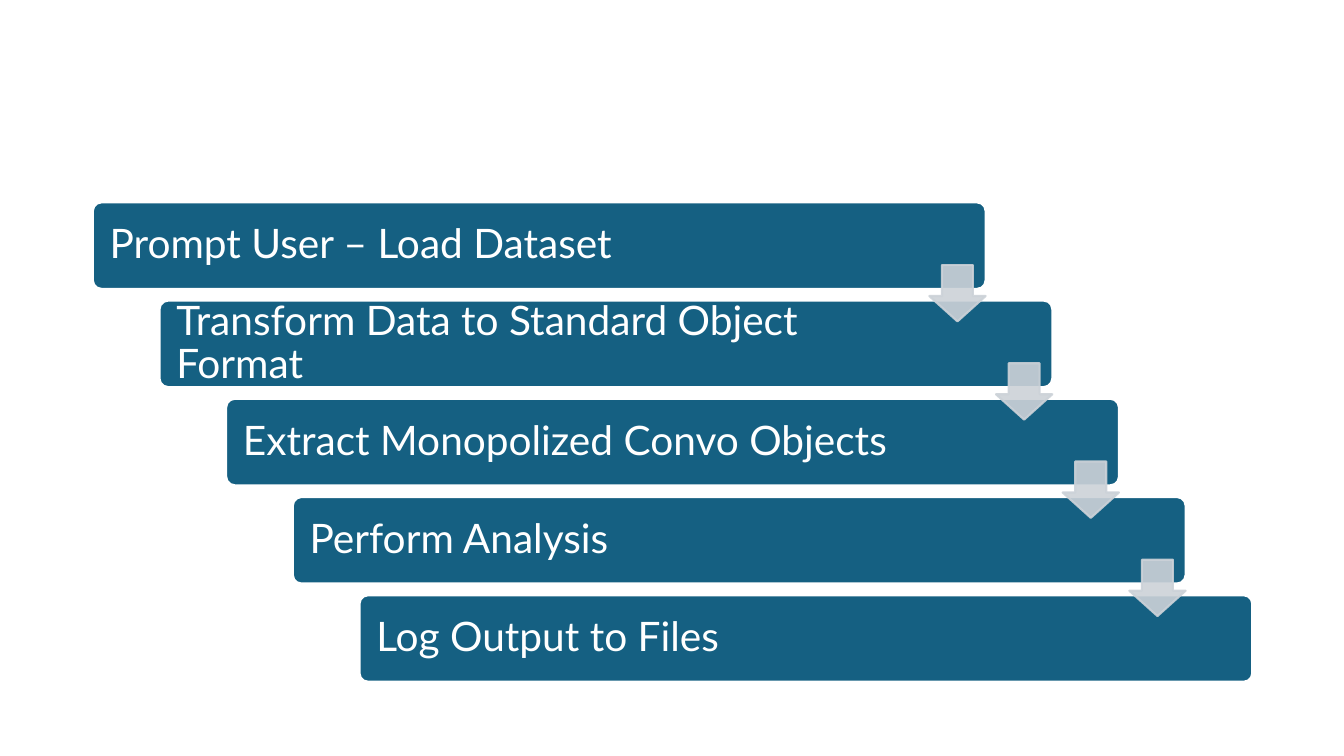
import lxml.etree
import pptx
import pptx.dml.color
import pptx.enum.shapes
import pptx.enum.text
import pptx.oxml.ns
import pptx.util

Cm = pptx.util.Cm
Pt = pptx.util.Pt
Shapes = pptx.enum.shapes.MSO_SHAPE

BAR_COLOR = pptx.dml.color.RGBColor(0x15, 0x60, 0x82)
ARROW_COLOR = pptx.dml.color.RGBColor(0xCC, 0xD2, 0xD8)
WHITE = pptx.dml.color.RGBColor(0xFF, 0xFF, 0xFF)

STEPS = [
    "Prompt User – Load Dataset",
    "Transform Data to Standard Object Format",
    "Extract Monopolized Convo Objects",
    "Perform Analysis",
    "Log Output to Files",
]
BAR_WIDTH, BAR_HEIGHT = Cm(22.5), Cm(2.18)
ARROW_SIZE, ARROW_DROP = Cm(1.42), Cm(1.58)

FRAME_FORMAT = {
    "word_wrap": True,
    "vertical_anchor": pptx.enum.text.MSO_ANCHOR.MIDDLE,
    "margin_left": Cm(0.36),
    "margin_right": Cm(3.48),
    "margin_top": 0,
    "margin_bottom": 0,
}
PARAGRAPH_FORMAT = {"alignment": pptx.enum.text.PP_ALIGN.LEFT, "line_spacing": 0.9}
FONT_FORMAT = {"name": "Lato", "size": Pt(29)}


def set_attributes(target, values):
    for name, value in values.items():
        setattr(target, name, value)


def add_filled_shape(slide, kind, box, adjustments, fill_color, line_color):
    shape = slide.shapes.add_shape(kind, *box)
    shape.shadow.inherit = False
    for index, value in enumerate(adjustments):
        shape.adjustments[index] = value
    shape.fill.solid()
    shape.fill.fore_color.rgb = fill_color
    shape.line.color.rgb = line_color
    shape.line.width = Pt(1.5)
    return shape


def add_step_bar(slide, box, text):
    bar = add_filled_shape(slide, Shapes.ROUNDED_RECTANGLE, box, [0.1], BAR_COLOR, WHITE)
    set_attributes(bar.text_frame, FRAME_FORMAT)
    paragraph = bar.text_frame.paragraphs[0]
    set_attributes(paragraph, PARAGRAPH_FORMAT)
    run = paragraph.add_run()
    run.text = text
    set_attributes(run.font, FONT_FORMAT)
    run.font.color.rgb = WHITE


def add_step_arrow(slide, bar_box):
    left, top, width, height = bar_box
    box = (left + width - ARROW_SIZE, top + ARROW_DROP, ARROW_SIZE, ARROW_SIZE)
    arrow = add_filled_shape(
        slide, Shapes.DOWN_ARROW, box, [0.55, 0.45], ARROW_COLOR, ARROW_COLOR
    )
    qualified_name = pptx.oxml.ns.qn
    for color in arrow.element.spPr.iter(qualified_name("a:srgbClr")):
        lxml.etree.SubElement(color, qualified_name("a:alpha"), val="90000")


def add_staircase(slide, left, top, width, height):
    gaps = len(STEPS) - 1
    step_x = (width - BAR_WIDTH) // gaps
    step_y = (height - BAR_HEIGHT) // gaps
    boxes = [
        (left + index * step_x, top + index * step_y, BAR_WIDTH, BAR_HEIGHT)
        for index in range(len(STEPS))
    ]
    for box, text in zip(boxes, STEPS):
        add_step_bar(slide, box, text)
    for box in boxes[:-1]:
        add_step_arrow(slide, box)


def main():
    presentation = pptx.Presentation()
    presentation.slide_width = Cm(33.87)
    presentation.slide_height = Cm(19.05)
    slide = presentation.slides.add_slide(presentation.slide_layouts[6])
    add_staircase(slide, Cm(2.34), Cm(5.1), Cm(29.22), Cm(12.08))
    presentation.save("out.pptx")


if __name__ == "__main__":
    main()
